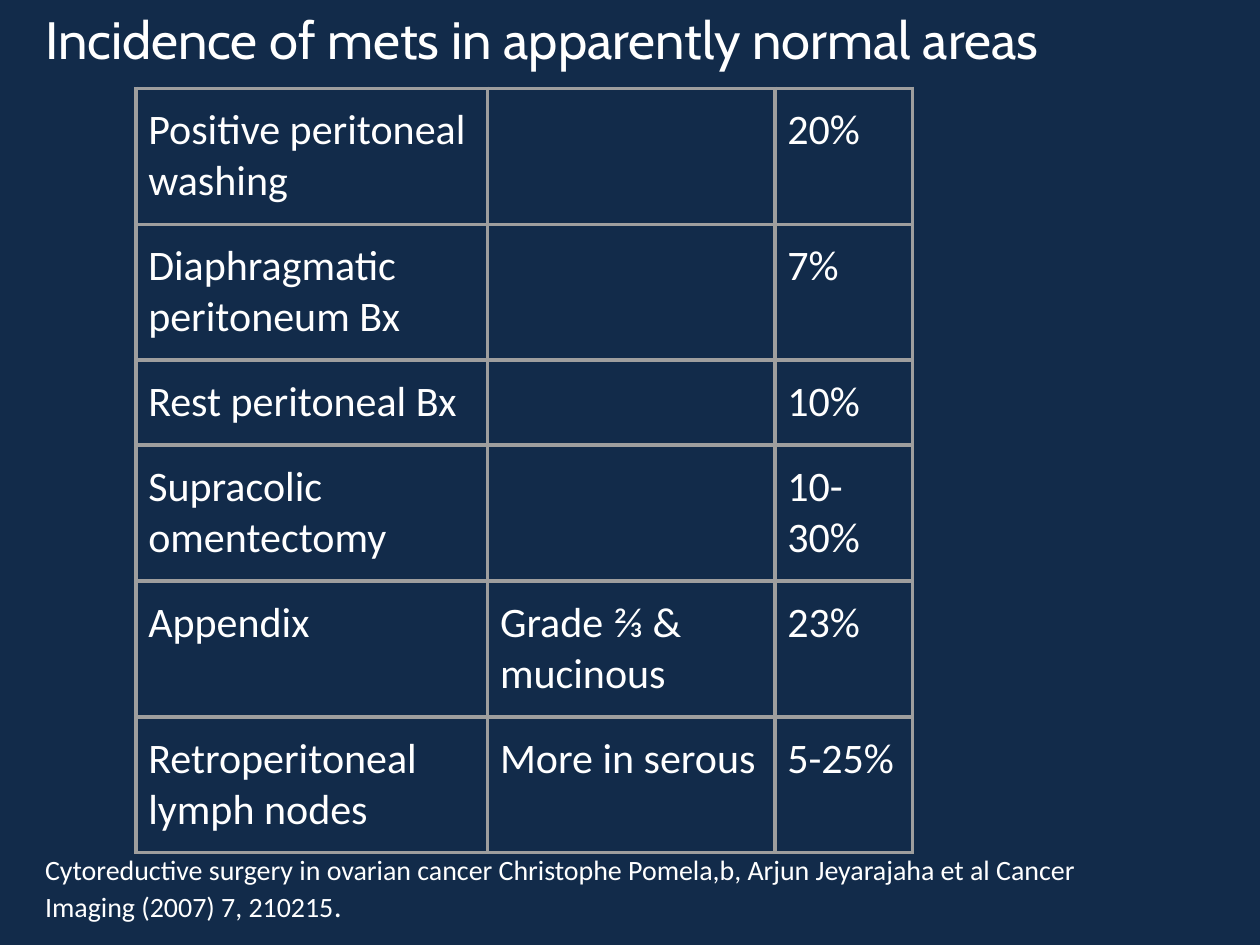
from typing import NamedTuple

from lxml.etree import SubElement
from pptx import Presentation
from pptx.dml.color import RGBColor
from pptx.enum.shapes import MSO_CONNECTOR
from pptx.enum.text import MSO_ANCHOR
from pptx.oxml.ns import qn
from pptx.util import Cm, Pt

NAVY = RGBColor(0x12, 0x2B, 0x4A)
WHITE = RGBColor(0xFF, 0xFF, 0xFF)
GREY = RGBColor(0x9E, 0x9E, 0x9E)


class Run(NamedTuple):
    text: str
    size: int
    font: str = "Calibri"


class TextBlock(NamedTuple):
    left: float
    top: float
    width: float
    height: float
    runs: tuple[Run, ...]


class Finding(NamedTuple):
    site: str
    note: str
    rate: str
    height: float = 2.74


TEXTS = (
    TextBlock(0.66, -0.1, 24.18, 2.64,
              (Run("Incidence of mets in apparently normal areas", 30, "Cabin"),)),
    TextBlock(0.66, 16.94, 22.81, 2.62, (
        Run("Cytoreductive surgery in ovarian cancer Christophe Pomela,b, "
            "Arjun Jeyarajaha et al Cancer Imaging (2007) 7, 210215", 16),
        Run(".", 18),
    )),
)
FINDINGS = (
    Finding("Positive peritoneal washing", "", "20%"),
    Finding("Diaphragmatic peritoneum Bx", "", "7%"),
    Finding("Rest peritoneal Bx", "", "10%", 1.71),
    Finding("Supracolic omentectomy", "", "10-30%"),
    Finding("Appendix", "Grade ⅔ & mucinous", "23%"),
    Finding("Retroperitoneal lymph nodes", "More in serous", "5-25%"),
)
COLUMN_WIDTHS = (7.09, 5.79, 2.77)


def set_attributes(target, values: dict) -> None:
    for name, value in values.items():
        setattr(target, name, value)


def insets(x: float, y: float) -> dict:
    return {"margin_left": Cm(x), "margin_right": Cm(x),
            "margin_top": Cm(y), "margin_bottom": Cm(y),
            "vertical_anchor": MSO_ANCHOR.TOP}


def add_run(p, run: Run) -> None:
    r = p.add_run()
    r.text = run.text
    set_attributes(r.font, {"size": Pt(run.size), "name": run.font, "bold": False})
    r.font.color.rgb = WHITE


def add_text(s, block: TextBlock) -> None:
    sp = s.shapes.add_textbox(*map(Cm, block[:4]))
    tf = sp.text_frame
    set_attributes(tf, {"word_wrap": True, **insets(0.25, 0.25)})
    for run in block.runs:
        add_run(tf.paragraphs[0], run)


def add_borders(cell) -> None:
    tc_pr = cell._tc.get_or_add_tcPr()
    for side in ("a:lnL", "a:lnR", "a:lnT", "a:lnB"):
        ln = SubElement(tc_pr, qn(side), w=str(Pt(2.25)))
        SubElement(SubElement(ln, qn("a:solidFill")), qn("a:srgbClr"), val=str(GREY))


def add_findings(s, left: float, top: float) -> None:
    width, height = sum(COLUMN_WIDTHS), sum(f.height for f in FINDINGS)
    sp = s.shapes.add_table(len(FINDINGS), len(COLUMN_WIDTHS),
                            Cm(left), Cm(top), Cm(width), Cm(height))
    table = sp.table
    set_attributes(table, {"first_row": False, "horz_banding": False})
    for column, column_width in zip(table.columns, COLUMN_WIDTHS):
        column.width = Cm(column_width)
    for row, finding in zip(table.rows, FINDINGS):
        row.height = Cm(finding.height)
        for cell, text in zip(row.cells, finding[:3]):
            set_attributes(cell, insets(0.25, 0.33))
            add_borders(cell)
            cell.fill.background()
            if text:
                add_run(cell.text_frame.paragraphs[0], Run(text, 24))


def add_dot(s, x: float, y: float) -> None:
    sp = s.shapes.add_connector(MSO_CONNECTOR.STRAIGHT, Cm(x), Cm(y), Cm(x), Cm(y))
    sp.line.color.rgb = WHITE
    sp.line.width = Pt(2.25)
    SubElement(sp._element.spPr, qn("a:effectLst"))


def main() -> None:
    prs = Presentation()
    set_attributes(prs, {"slide_width": Cm(25.4), "slide_height": Cm(19.05)})
    s = prs.slides.add_slide(prs.slide_layouts[6])
    s.background.fill.solid()
    s.background.fill.fore_color.rgb = NAVY
    title, citation = TEXTS
    add_text(s, title)
    add_dot(s, 0.66, 0.53)
    add_findings(s, 2.74, 1.78)
    add_text(s, citation)
    prs.save("out.pptx")


if __name__ == "__main__":
    main()
